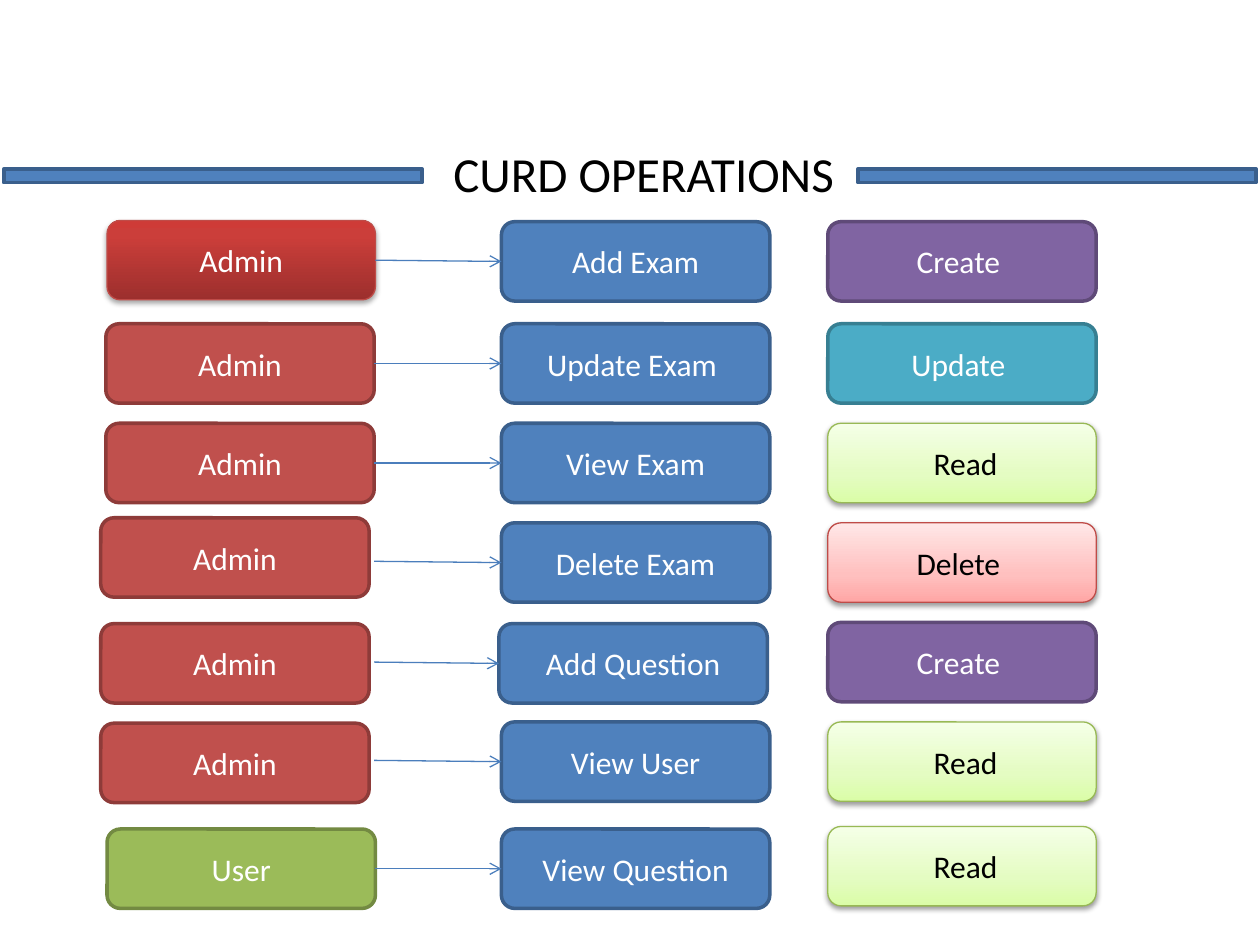
from copy import deepcopy

from lxml import etree
from pptx import Presentation, util as u
from pptx.dml.color import RGBColor
from pptx.enum import shapes, text
from pptx.oxml import ns

TITLE = "CURD OPERATIONS"
RULES = [(0.03, 3.32), (6.81, 3.16)]  # left, width

# Each cell: label, style, left, top
ROWS = [
    [("Admin", "red_glow", 0.85, 1.75), ("Add Exam", "blue", 3.98, 1.76), ("Create ", "purple", 6.57, 1.76)],
    [("Admin", "red", 0.84, 2.57), ("Update Exam ", "blue", 3.98, 2.57), ("Update ", "teal", 6.57, 2.57)],
    [("Admin", "red", 0.84, 3.36), ("View Exam", "blue", 3.98, 3.36), (" Read", "lime", 6.57, 3.36)],
    [("Admin", "red", 0.8, 4.11), ("Delete Exam", "blue", 3.98, 4.15), ("Delete ", "pink", 6.57, 4.15)],
    [("Admin", "red", 0.8, 4.95), ("Add Question", "blue", 3.96, 4.95), ("Create ", "purple", 6.57, 4.94)],
    [("Admin", "red", 0.8, 5.74), ("View User", "blue", 3.98, 5.73), (" Read", "lime", 6.57, 5.73)],
    [("User", "green", 0.85, 6.58), ("View Question", "blue", 3.98, 6.58), (" Read", "lime", 6.57, 6.56)],
]

THEME = {
    "font": "Calibri", "title_size": 28, "label_size": 18,
    "black": "000000", "white": "FFFFFF", "arrow": "4B7EBC",
    "thick": 2, "thin": 0.75,
    # solid: fill, line
    "solid": {
        "blue": ("4F81BD", "3A5F8C"),
        "red": ("C0504D", "8E3B39"),
        "green": ("9BBB59", "738A42"),
        "purple": ("8064A2", "5F4A78"),
        "teal": ("4BACC6", "377F92"),
    },
    # gradient, bottom to top: stops, line, text, shadow opacity and distance
    "gradient": {
        "red_glow": ([(0, "9C2F2D"), (0.8, "CB3E3A"), (1, "CE3B37")], "BF4C48", "white", 35, 1.8),
        "lime": ([(0, "DAFDA7"), (0.35, "E4FCC2"), (1, "F5FFE7")], "98B955", "black", 38, 1.6),
        "pink": ([(0, "FFA6A5"), (0.35, "FFC0BF"), (1, "FFE7E7")], "BF4C48", "black", 38, 1.6),
    },
}

BOX_W, BOX_H = 2.13, 0.63
ARROW_START = 2.97


def rgb(value):
    return RGBColor.from_string(value)


def sub(parent, tag, **attributes):
    return etree.SubElement(parent, ns.qn(tag), attributes)


def write(shape, words, *, size, color, align=None, anchor=None):
    frame = shape.text_frame
    frame.word_wrap = True
    frame.vertical_anchor = anchor
    paragraph = frame.paragraphs[0]
    paragraph.alignment = align
    run = paragraph.add_run()
    run.text = words
    run.font.name = THEME["font"]
    run.font.size = u.Pt(size)
    run.font.color.rgb = rgb(color)


def outline(shape, color, width):
    shape.line.color.rgb = rgb(color)
    shape.line.width = u.Pt(width)


def fill_gradient(shape, stops):
    fill = shape.fill
    fill.gradient()
    fill.gradient_angle = 90
    stop_list = shape._element.spPr.find(".//" + ns.qn("a:gsLst"))
    while len(stop_list) < len(stops):
        stop_list.append(deepcopy(stop_list[0]))
    for stop, (position, color) in zip(fill.gradient_stops, stops):
        stop.position = position
        stop.color.rgb = rgb(color)


def cast_shadow(shape, opacity, distance):
    effects = shape._element.spPr.find(ns.qn("a:effectLst"))
    shadow = sub(effects, "a:outerShdw", blurRad=str(u.Pt(3.1)), dist=str(u.Pt(distance)),
                 dir="5400000", rotWithShape="0")
    color = sub(shadow, "a:srgbClr", val=THEME["black"])
    sub(color, "a:alpha", val=str(opacity * 1000))


def add_block(slide, preset, style, left, top, width, height):
    """Add a styled shape and return it with its text colour."""
    block = slide.shapes.add_shape(preset, *map(u.Inches, (left, top, width, height)))
    block.shadow.inherit = False
    if style in THEME["solid"]:
        fill, line = THEME["solid"][style]
        block.fill.solid()
        block.fill.fore_color.rgb = rgb(fill)
        outline(block, line, THEME["thick"])
        return block, THEME["white"]
    stops, line, ink, opacity, distance = THEME["gradient"][style]
    fill_gradient(block, stops)
    outline(block, line, THEME["thin"])
    cast_shadow(block, opacity, distance)
    return block, THEME[ink]


def add_cell(slide, label, style, left, top):
    cell, ink = add_block(slide, shapes.MSO_SHAPE.ROUNDED_RECTANGLE, style, left, top, BOX_W, BOX_H)
    write(cell, label, size=THEME["label_size"], color=ink,
          align=text.PP_ALIGN.CENTER, anchor=text.MSO_ANCHOR.MIDDLE)
    return cell


def add_arrow(slide, role, action):
    """Join role to action; a role box set further left leaves a small gap."""
    start_x = u.Inches(ARROW_START)
    end_y = action.top + action.height // 2
    arrow = slide.shapes.add_connector(shapes.MSO_CONNECTOR.STRAIGHT, start_x,
                                       end_y - u.Inches(0.01), action.left, end_y)
    if role.left + role.width >= start_x - u.Inches(0.01):
        arrow.begin_connect(role, 3)
    arrow.end_connect(action, 1)
    outline(arrow, THEME["arrow"], THEME["thin"])
    properties = arrow._element.spPr
    sub(properties.find(ns.qn("a:ln")), "a:tailEnd", type="arrow")
    sub(properties, "a:effectLst")


def main():
    deck = Presentation()
    deck.slide_width, deck.slide_height = u.Inches(10), u.Inches(7.5)
    slide = deck.slides.add_slide(deck.slide_layouts[6])

    title = slide.shapes.add_textbox(*map(u.Inches, (3.5, 1.09, 3.7, 0.57)))
    write(title, TITLE, size=THEME["title_size"], color=THEME["black"])
    for left, width in RULES:
        add_block(slide, shapes.MSO_SHAPE.RECTANGLE, "blue", left, 1.34, width, 0.11)

    for row in ROWS:
        role, action, _ = [add_cell(slide, *cell) for cell in row]
        add_arrow(slide, role, action)

    deck.save("out.pptx")


if __name__ == "__main__":
    main()
